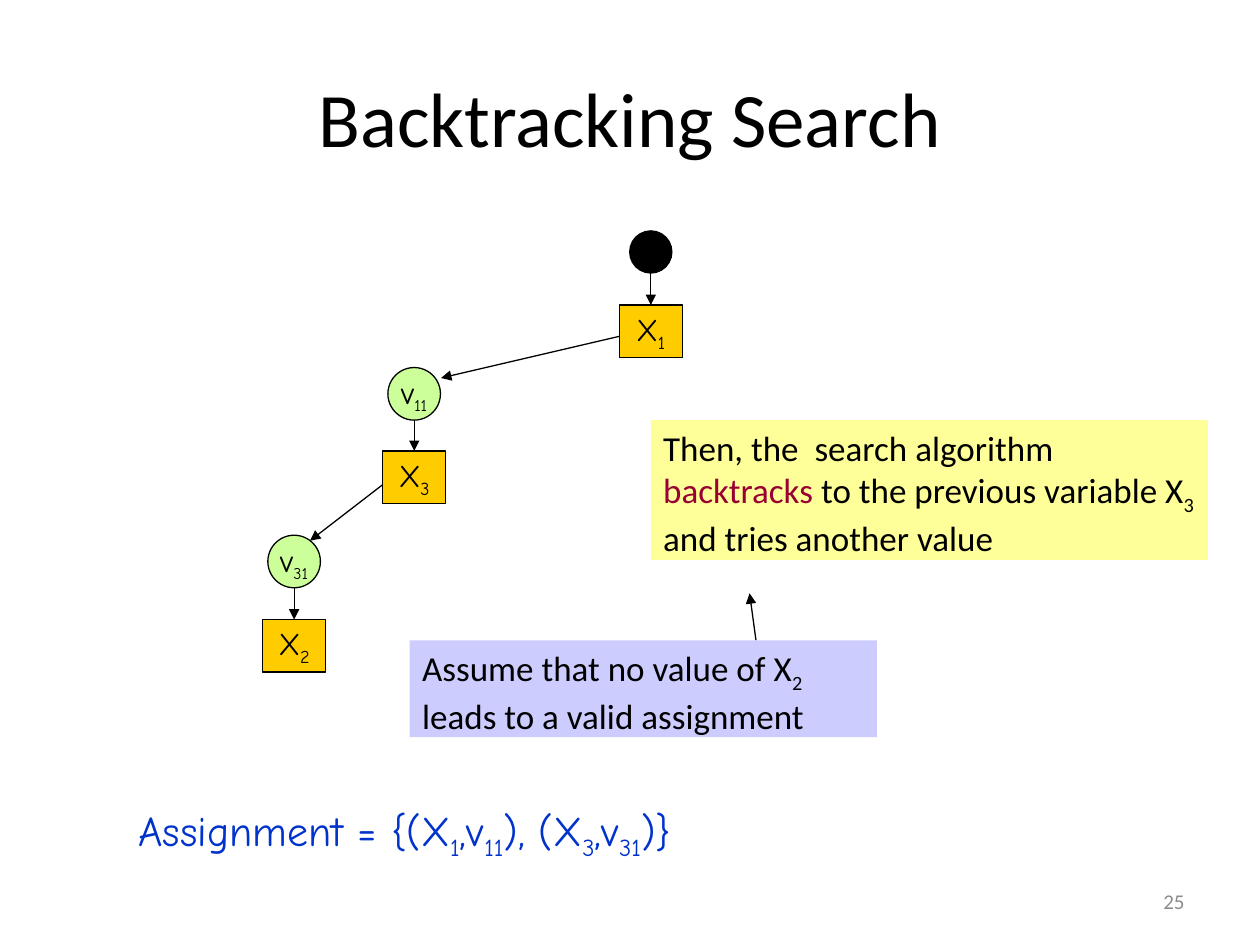
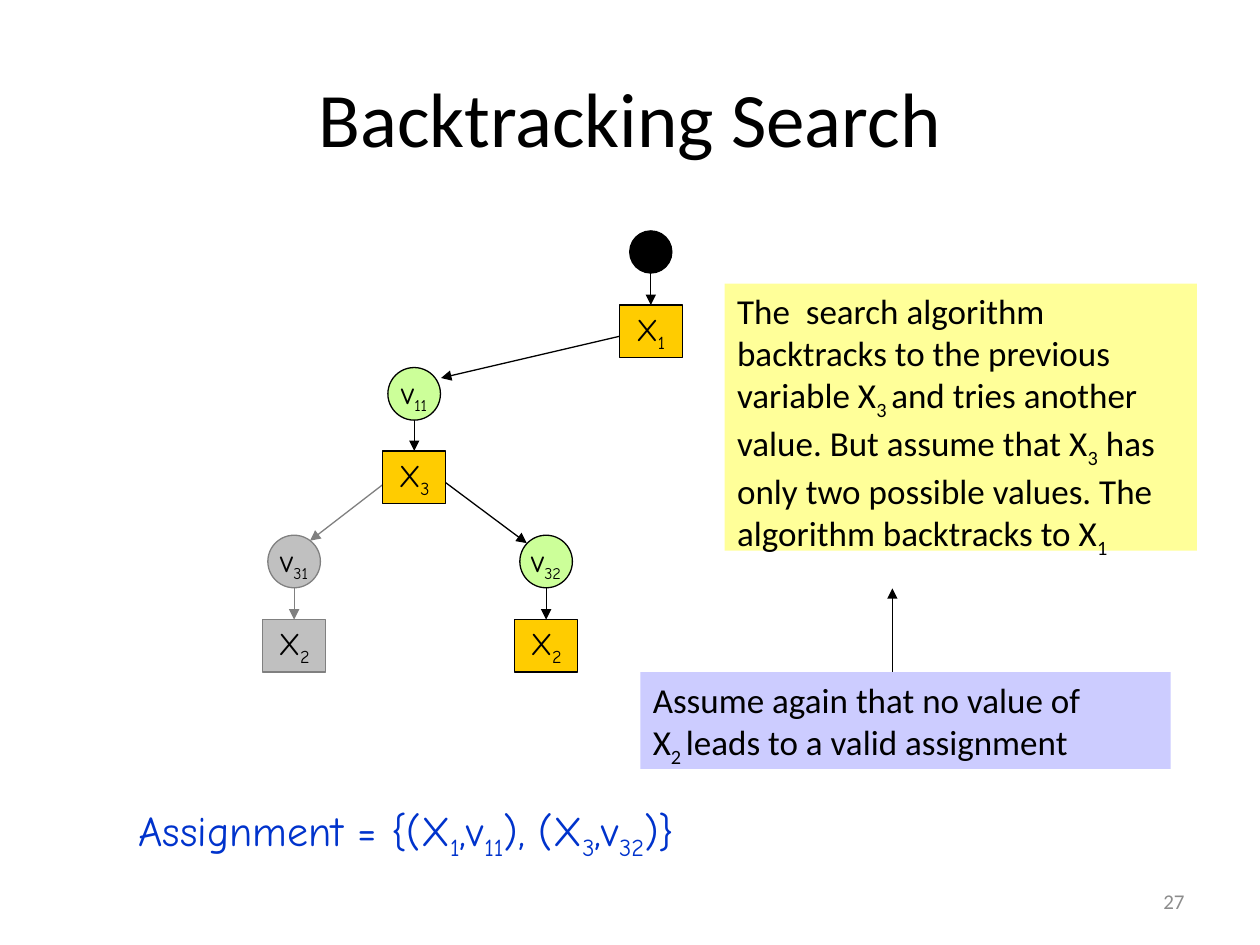
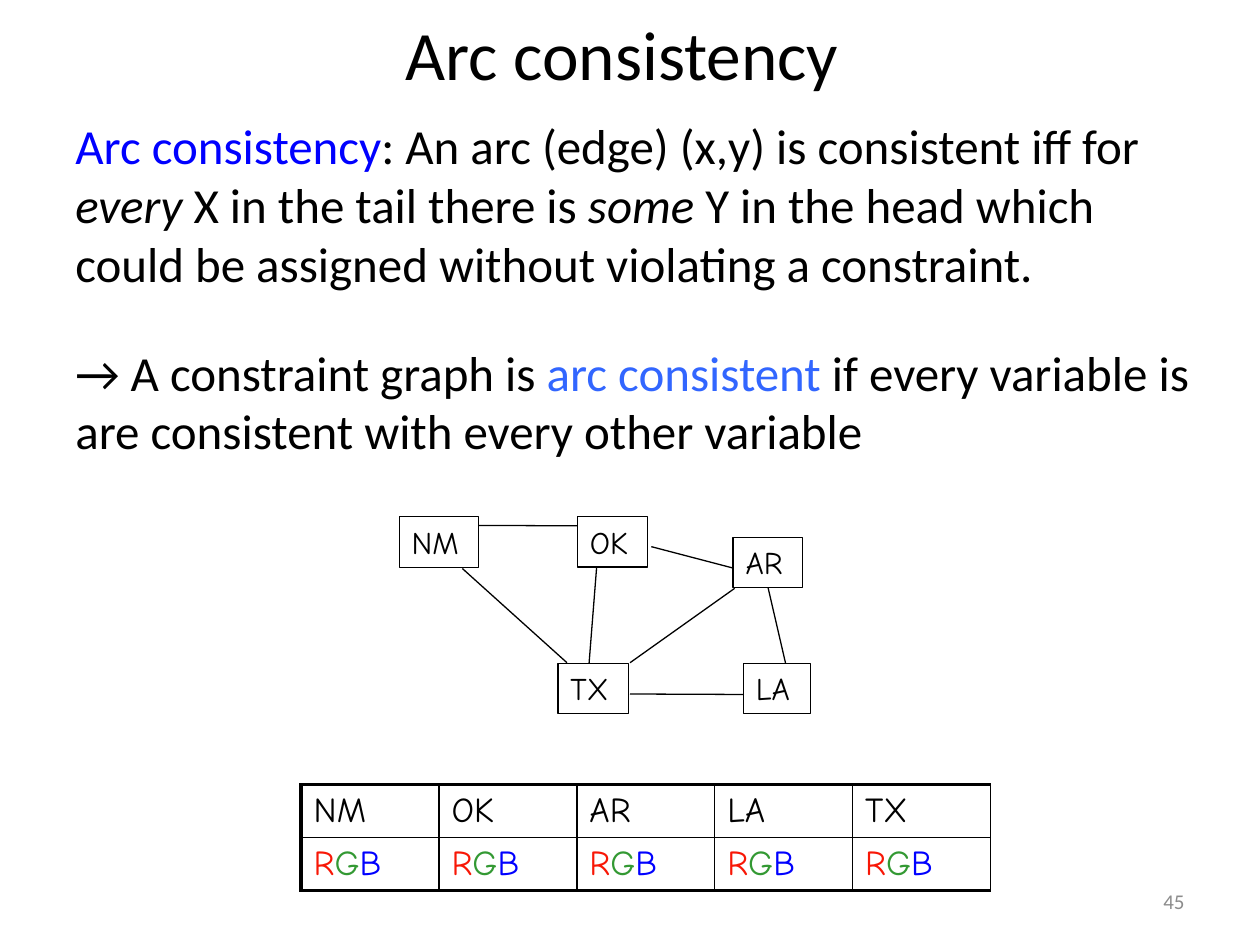
from dataclasses import dataclass

from lxml import etree
from pptx import Presentation
from pptx.dml.color import RGBColor
from pptx.enum.shapes import MSO_CONNECTOR, MSO_SHAPE
from pptx.enum.text import MSO_ANCHOR, MSO_AUTO_SIZE, PP_ALIGN
from pptx.oxml.ns import qn
from pptx.util import Cm, Pt

RECT, OVAL, STRAIGHT = MSO_SHAPE.RECTANGLE, MSO_SHAPE.OVAL, MSO_CONNECTOR.STRAIGHT
LEFT, CENTER, RIGHT = PP_ALIGN.LEFT, PP_ALIGN.CENTER, PP_ALIGN.RIGHT
TOP, MIDDLE = MSO_ANCHOR.TOP, MSO_ANCHOR.MIDDLE


@dataclass(frozen=True)
class Theme:
    sans: str = "Calibri"
    comic: str = "Comic Neue"
    black: str = "000000"
    white: str = "FFFFFF"
    variable: str = "FFCC00"
    value: str = "CCFF99"
    dropped: str = "C0C0C0"
    dropped_line: str = "808080"
    premise: str = "CCCCFF"
    outcome: str = "FFFF99"
    assignment: str = "0033CC"
    number: str = "8C8C8C"
    crimson: str = "990033"
    red: str = "F81706"
    green: str = "339933"
    blue: str = "0000FF"
    sky: str = "3266FF"
    title_size: float = 44
    small_title_size: float = 39.6
    body_size: float = 28
    assignment_size: float = 24
    note_size: float = 20
    node_size: float = 18
    value_index_size: float = 16
    number_size: float = 12
    line: float = 0.75
    thin_border: float = 1
    thick_border: float = 2.25


theme = Theme()


def write(frame, lines, size, font=theme.sans, color=theme.black, align=LEFT,
          anchor=TOP, wrap=True, index_size=None):
    """Text between bars is subscript; a pair holds text and its colour or "italic"."""
    frame.word_wrap = wrap
    frame.auto_size = MSO_AUTO_SIZE.NONE
    frame.vertical_anchor = anchor
    for row, pieces in enumerate(lines):
        paragraph = frame.paragraphs[0] if row == 0 else frame.add_paragraph()
        paragraph.alignment = align
        paragraph.font.size = Pt(size)
        paragraph.font.name = font
        paragraph.font.color.rgb = RGBColor.from_string(color)
        for piece in pieces:
            text, style = (piece, None) if isinstance(piece, str) else piece
            for position, part in enumerate(text.split("|")):
                if not part:
                    continue
                run = paragraph.add_run()
                run.text = part
                if position % 2:
                    run._r.get_or_add_rPr().set("baseline", "-25000")
                    if index_size:
                        run.font.size = Pt(index_size)
                if style == "italic":
                    run.font.italic = True
                elif style:
                    run.font.color.rgb = RGBColor.from_string(style)


def add_box(slide, kind, left, top, width, height, fill, outline=None):
    box = slide.shapes.add_shape(kind, Cm(left), Cm(top), Cm(width), Cm(height))
    box.shadow.inherit = False
    box.fill.solid()
    box.fill.fore_color.rgb = RGBColor.from_string(fill)
    if outline:
        box.line.color.rgb = RGBColor.from_string(outline)
        box.line.width = Pt(theme.line)
    else:
        box.line.fill.background()
    return box


deck = Presentation()
deck.slide_width, deck.slide_height = Cm(25.4), Cm(19.05)
title_only = deck.slide_layouts[5]

slides = []
for heading, number, top, height, size in [
    ("Backtracking Search", "25", 0.76, 3.18, theme.title_size),
    ("Backtracking Search", "27", 0.76, 3.18, theme.title_size),
    ("Arc consistency ", "45", 0.03, 2.06, theme.small_title_size),
]:
    slide = deck.slides.add_slide(title_only)
    title = slide.shapes.title
    title.left, title.top, title.width, title.height = Cm(1.27), Cm(top), Cm(22.86), Cm(height)
    write(title.text_frame, [[heading]], size, align=CENTER, anchor=MIDDLE)
    page = slide.shapes.add_textbox(Cm(18.21), Cm(17.65), Cm(5.92), Cm(1.02))
    write(page.text_frame, [[number]], theme.number_size, color=theme.number,
          align=RIGHT, anchor=MIDDLE)
    slides.append(slide)
first_search, second_search, arcs = slides

COL_31, COL_11, COL_32, COL_ROOT = 5.93, 8.35, 11.01, 13.12
ROW_ROOT, ROW_X1, ROW_V1, ROW_X3, ROW_V3, ROW_X2 = 5.08, 6.68, 7.94, 9.62, 11.32, 13.02
NODE, VARIABLE_WIDTH, ROOT = 1.06, 1.27, 0.85
HALF = NODE / 2

shared_links = [
    (COL_ROOT, ROW_ROOT + ROOT / 2, COL_ROOT, ROW_X1 - HALF),
    (COL_ROOT - VARIABLE_WIDTH / 2, 6.78, 8.89, 7.62),
    (COL_11, ROW_V1 + HALF, COL_11, ROW_X3 - HALF),
]
left_branch = [
    (COL_11 - VARIABLE_WIDTH / 2, 9.77, 6.25, 10.9),
    (COL_31, ROW_V3 + HALF, COL_31, ROW_X2 - HALF),
]
right_branch = [
    (COL_11 + VARIABLE_WIDTH / 2, 9.73, 10.62, 10.95),
    (COL_32, ROW_V3 + HALF, COL_32, ROW_X2 - HALF),
]
state_borders = [
    (9.32, 10.59, 11.63, 10.6),
    (9.32, 11.46, 11.43, 13.36),
    (12.06, 11.02, 11.86, 13.56),
    (15.44, 11.66, 15.88, 13.56),
    (13.13, 11.02, 14.81, 11.46),
    (12.7, 13.99, 15.04, 14),
    (14.81, 11.86, 12.7, 13.36),
]
for slide, links, color, arrow in [
    (first_search, shared_links + left_branch + [(15.24, 12.91, 15.11, 11.96)], theme.black, True),
    (second_search, shared_links + right_branch + [(17.99, 13.55, 17.99, 11.86)], theme.black, True),
    (second_search, left_branch, theme.dropped_line, True),
    (arcs, state_borders, theme.black, False),
]:
    for ends in links:
        link = slide.shapes.add_connector(STRAIGHT, *[Cm(end) for end in ends])
        link.line.color.rgb = RGBColor.from_string(color)
        link.line.width = Pt(theme.line)
        if arrow:
            etree.SubElement(link.line._get_or_add_ln(), qn("a:tailEnd"), type="triangle")
        etree.SubElement(link._element.spPr, qn("a:effectLst"))

shared_nodes = [
    ("X|1|", COL_ROOT, ROW_X1),
    ("v|11|", COL_11, ROW_V1),
    ("X|3|", COL_11, ROW_X3),
]
left_nodes = [("v|31|", COL_31, ROW_V3), ("X|2|", COL_31, ROW_X2)]
right_nodes = [("v|32|", COL_32, ROW_V3), ("X|2|", COL_32, ROW_X2)]
for slide, nodes, dropped in [
    (first_search, shared_nodes + left_nodes, False),
    (second_search, shared_nodes + right_nodes, False),
    (second_search, left_nodes, True),
]:
    if not dropped:
        add_box(slide, OVAL, COL_ROOT - ROOT / 2, ROW_ROOT - ROOT / 2, ROOT, ROOT,
                theme.black, theme.black)
    for label, x, y in nodes:
        is_variable = label.startswith("X")
        width = VARIABLE_WIDTH if is_variable else NODE
        fill = theme.variable if is_variable else theme.value
        node = add_box(slide, RECT if is_variable else OVAL, x - width / 2, y - HALF, width, NODE,
                       theme.dropped if dropped else fill,
                       theme.dropped_line if dropped else theme.black)
        write(node.text_frame, [[label]], theme.node_size, theme.comic, align=CENTER,
              anchor=MIDDLE, wrap=False,
              index_size=None if is_variable else theme.value_index_size)

for slide, at, fill, lines in [
    (first_search, (8.26, 12.91, 9.42, 1.95), theme.premise,
     [["Assume that no value of X|2|"], ["leads to a valid assignment"]]),
    (first_search, (13.12, 8.47, 11.23, 2.82), theme.outcome,
     [["Then, the  search algorithm"],
      [("backtracks ", theme.crimson), "to the previous variable X|3 |and tries another value"]]),
    (second_search, (12.91, 13.55, 10.69, 1.95), theme.premise,
     [["Assume again that no value of "], ["X|2 |leads to a valid assignment"]]),
    (second_search, (14.61, 5.72, 9.52, 5.38), theme.outcome,
     [["The  search algorithm"],
      ["backtracks to the previous variable X|3 |and tries another value. But assume that X|3| "
       "has only two possible values. The algorithm backtracks to X|1|"]]),
]:
    note = add_box(slide, RECT, *at, fill)
    write(note.text_frame, lines, theme.note_size)

for slide, pairs in [
    (first_search, "Assignment = {(X|1|,v|11|), (X|3|,v|31|)}"),
    (second_search, "Assignment = {(X|1|,v|11|), (X|3|,v|32|)}"),
]:
    assignment = slide.shapes.add_textbox(Cm(2.54), Cm(16.09), Cm(12.6), Cm(1.28))
    write(assignment.text_frame, [[pairs]], theme.assignment_size, theme.comic, theme.assignment)

definition = arcs.shapes.add_textbox(Cm(1.27), Cm(2.21), Cm(23.06), Cm(7.34)).text_frame
write(definition, [
    [("Arc consistency", theme.blue), ": An arc (edge) (x,y) is consistent iff for ",
     ("every ", "italic"), "X in the tail there is ", ("some ", "italic"),
     "Y in the head which could be assigned without violating a constraint."],
    ["→ A constraint graph is ", ("arc consistent ", theme.sky),
     "if every variable is are consistent with every other variable"],
], theme.body_size)
definition.paragraphs[1].space_before = Pt(28.5)

for name, left, top, width in [
    ("NM", 8.05, 10.42, 1.6),
    ("OK", 11.64, 10.41, 1.42),
    ("AR", 14.78, 10.83, 1.4),
    ("LA", 14.99, 13.37, 1.35),
    ("TX", 11.25, 13.37, 1.42),
]:
    state = add_box(arcs, RECT, left, top, width, 1.02, theme.white, theme.black)
    write(state.text_frame, [[name]], theme.node_size, theme.comic)

states = ["NM", "OK", "AR", "LA", "TX"]
colors = [("R", theme.red), ("G", theme.green), ("B", theme.blue)]
domains = arcs.shapes.add_table(2, len(states), Cm(6.07), Cm(15.82), Cm(13.9), Cm(2.12)).table
domains.first_row = domains.horz_banding = False
for column, name in enumerate(states):
    domains.columns[column].width = Cm(2.78)
    for row, pieces in enumerate([[name], colors]):
        domains.rows[row].height = Cm(1.06)
        cell = domains.cell(row, column)
        write(cell.text_frame, [pieces], theme.note_size, theme.comic)
        thick_sides = {"L": column == 0, "R": False, "T": row == 0, "B": row == 1}
        for side, thick in thick_sides.items():
            width = Pt(theme.thick_border if thick else theme.thin_border)
            border = etree.SubElement(cell._tc.get_or_add_tcPr(), qn("a:ln" + side), w=str(width))
            paint = etree.SubElement(border, qn("a:solidFill"))
            etree.SubElement(paint, qn("a:srgbClr"), val=theme.black)
        cell.fill.background()

deck.save("out.pptx")
